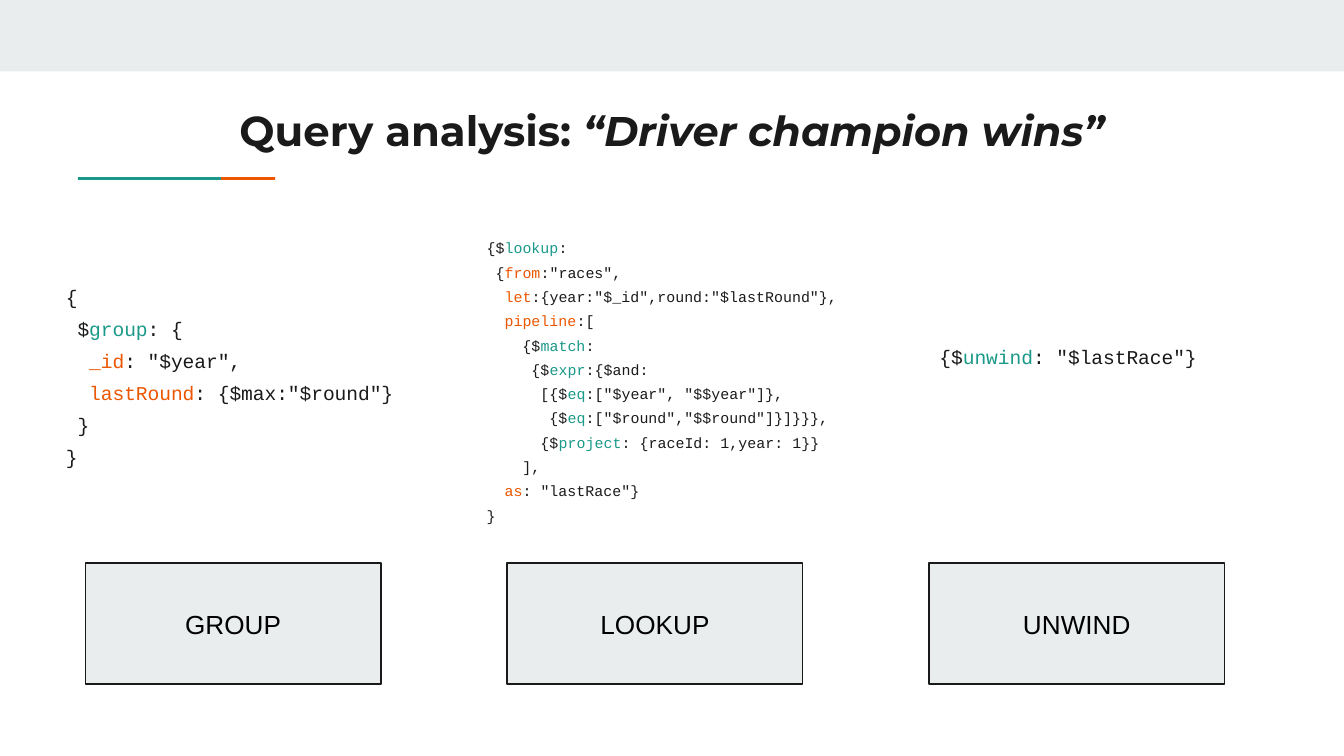
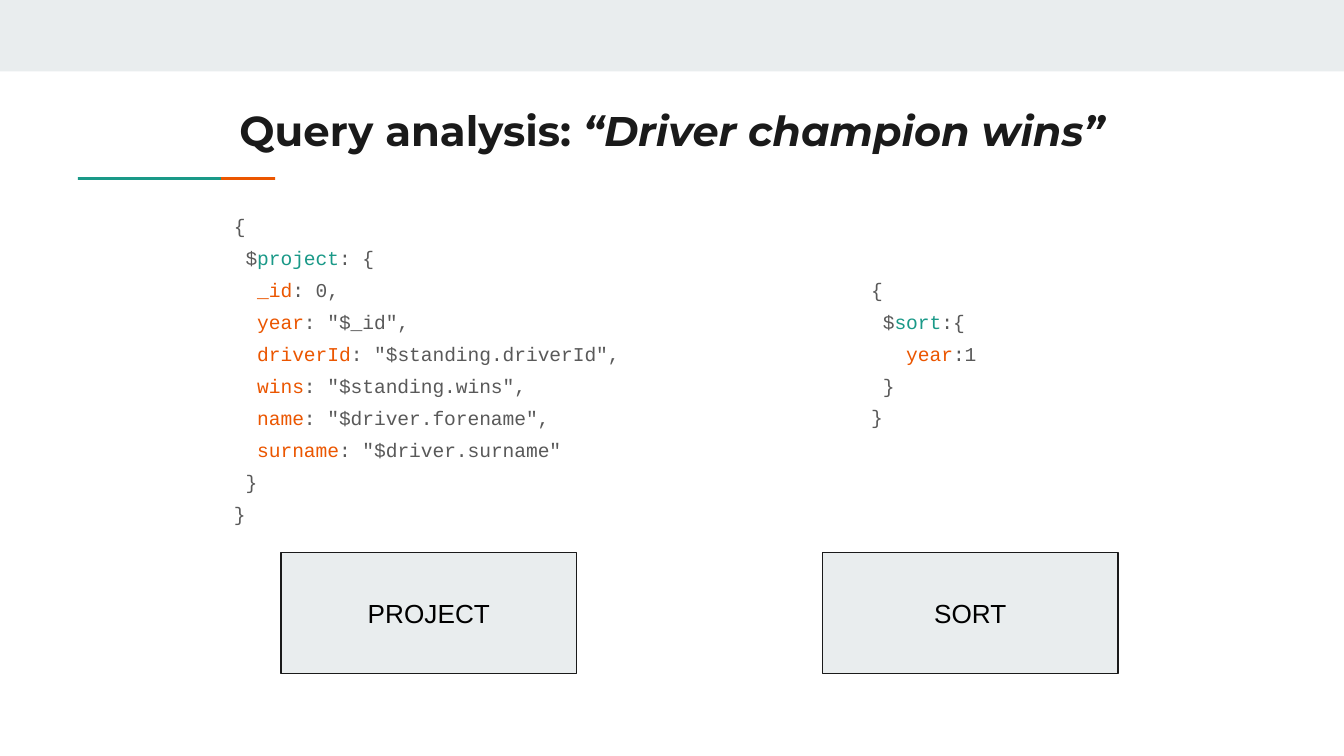
"""Build two slides that explain the stages of a database query."""
from pptx import Presentation
from pptx.dml.color import RGBColor
from pptx.enum.shapes import MSO_SHAPE
from pptx.enum.text import MSO_ANCHOR, MSO_AUTO_SIZE, PP_ALIGN
from pptx.util import Pt

RECT = MSO_SHAPE.RECTANGLE
TOP, MIDDLE = MSO_ANCHOR.TOP, MSO_ANCHOR.MIDDLE
LEFT, CENTER = PP_ALIGN.LEFT, PP_ALIGN.CENTER
FIXED = MSO_AUTO_SIZE.NONE

HUES = {"pale": "E9EDEE", "ink": "1A1A1A", "gray": "595959",
        "black": "000000", "teal": "1A9988", "orange": "EB5600"}

TITLE = [("Query analysis: ", {"size": Pt(22.4), "italic": False}),
         ("“Driver champion wins”", {"size": Pt(22.2), "italic": True})]
TITLE_BOX = (24.5, 49, 671, 48)
TRIM = [("pale", (0, 0, 720, 38.3)),
        ("orange", (70.9, 94.9, 76.6, 1.5)),
        ("teal", (41.8, 94.9, 76.6, 1.5))]
STAGE = (158.4, 64.8)

GROUP = """{
 $|group|: {
  |_id|: "$year",
  |lastRound|: {$max:"$round"}
 }
}"""
LOOKUP = """{$|lookup|:
 {|from|:"races",
  |let|:{year:"$_id",round:"$lastRound"},
  |pipeline|:[
    {$|match|:
     {$|expr|:{$and:
      [{$|eq|:["$year", "$$year"]},
       {$|eq|:["$round","$$round"]}]}}},
      {$|project|: {raceId: 1,year: 1}}
    ],
  |as|: "lastRace"}
}"""
UNWIND = '{$|unwind|: "$lastRace"}'
PROJECT = """{
 $|project|: {
  |_id|: 0,
  |year|: "$_id",
  |driverId|: "$standing.driverId",
  |wins|: "$standing.wins",
  |name|: "$driver.forename",
  |surname|: "$driver.surname"
 }
}"""
SORT = """{
 $|sort|:{
   |year|:1
 }
}"""

SLIDES = [
    {"ink": "ink", "left": 45.7, "step": 226, "top": 301.7, "stages": [
        ("GROUP", GROUP, 10.5, (28.2, 141.2, 194.4, 118)),
        ("LOOKUP", LOOKUP, 8, (253.6, 117.4, 212.4, 165.6)),
        ("UNWIND", UNWIND, 10.5, (496.2, 173.3, 162, 53.3))]},
    {"ink": "gray", "left": 150.6, "step": 290, "top": 295.9, "stages": [
        ("PROJECT", PROJECT, 10.5, (118.2, 103.1, 223.2, 182)),
        ("SORT", SORT, 10.5, (459.6, 137.1, 121, 100))]},
]


def pts(box):
    return [Pt(n) for n in box]


def rgb(hue):
    return RGBColor.from_string(HUES[hue])


def put(item, form):
    for name, value in form.items():
        setattr(item, name, value)


def frame(shape, anchor):
    text = shape.text_frame
    put(text, {"word_wrap": True, "auto_size": FIXED, "vertical_anchor": anchor})
    for side in ("left", "top", "right", "bottom"):
        setattr(text, f"margin_{side}", Pt(7.2))
    return text


def add_run(para, text, hue, form):
    run = para.add_run()
    run.text = text
    put(run.font, form)
    run.font.color.rgb = rgb(hue)


def add_rect(slide, box, hue):
    rect = slide.shapes.add_shape(RECT, *pts(box))
    rect.shadow.inherit = False
    rect.fill.solid()
    rect.fill.fore_color.rgb = rgb(hue)
    rect.line.fill.background()
    return rect


def add_title(slide):
    title = slide.shapes.title
    put(title, dict(zip(("left", "top", "width", "height"), pts(TITLE_BOX))))
    para = frame(title, TOP).paragraphs[0]
    para.alignment = CENTER
    for text, form in TITLE:
        add_run(para, text, "ink", {"name": "Montserrat", "bold": True, **form})


def add_code(slide, code, size, box, ink):
    text = frame(slide.shapes.add_textbox(*pts(box)), TOP)
    form = {"name": "Courier New", "size": Pt(size)}
    for row, line in enumerate(code.split("\n")):
        para = text.add_paragraph() if row else text.paragraphs[0]
        put(para, {"alignment": LEFT, "line_spacing": 1.36})
        last = ""
        for spot, part in enumerate(line.split("|")):
            key = "teal" if last.endswith("$") else "orange"
            add_run(para, part, key if spot % 2 else ink, form)
            last = part


def add_stage(slide, label, left, top):
    rect = add_rect(slide, (left, top, *STAGE), "pale")
    rect.line.color.rgb = rgb("ink")
    rect.line.width = Pt(0.75)
    para = frame(rect, MIDDLE).paragraphs[0]
    para.alignment = CENTER
    add_run(para, label, "black", {"name": "Arial", "size": Pt(14)})


def main():
    deck = Presentation()
    put(deck, {"slide_width": Pt(720), "slide_height": Pt(405)})
    layout = deck.slide_layouts[5]
    for page in SLIDES:
        slide = deck.slides.add_slide(layout)
        for hue, box in TRIM:
            add_rect(slide, box, hue)
        add_title(slide)
        for spot, (label, code, size, box) in enumerate(page["stages"]):
            add_code(slide, code, size, box, page["ink"])
            add_stage(slide, label, page["left"] + spot * page["step"], page["top"])
    deck.save("out.pptx")


if __name__ == "__main__":
    main()
